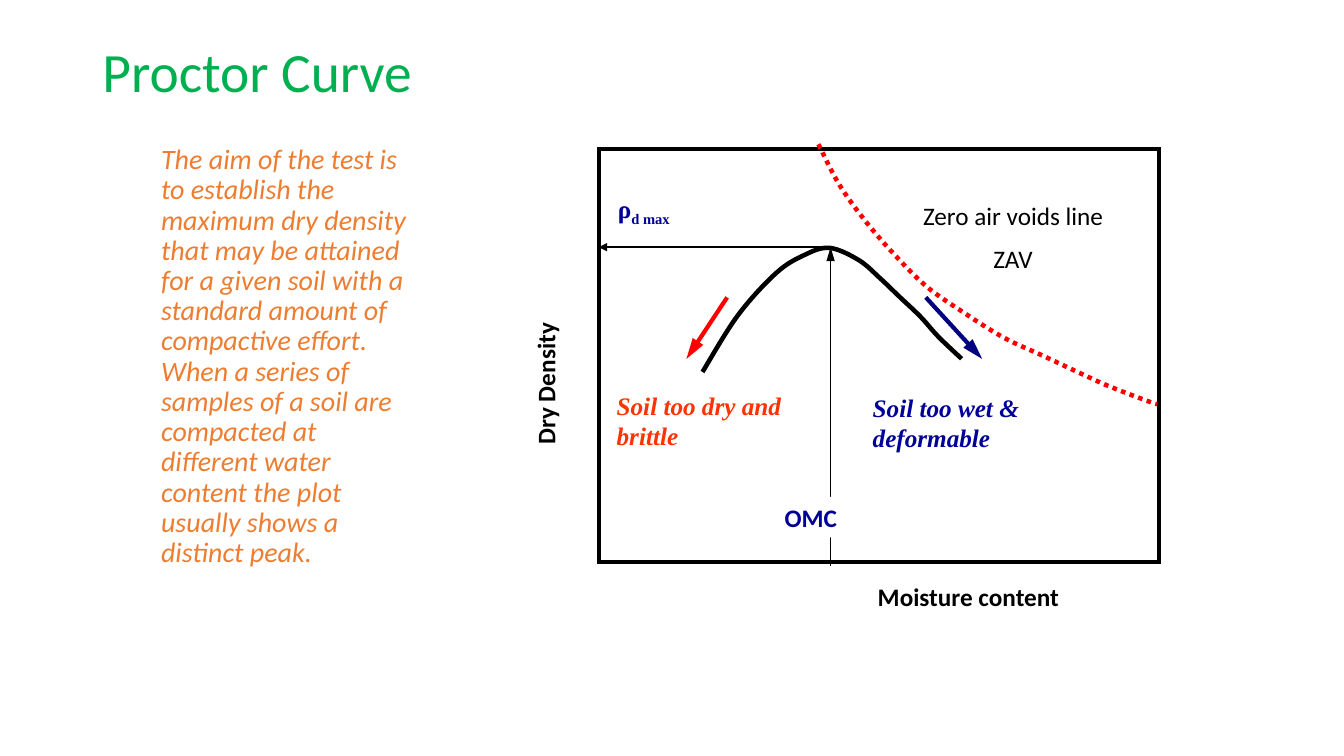
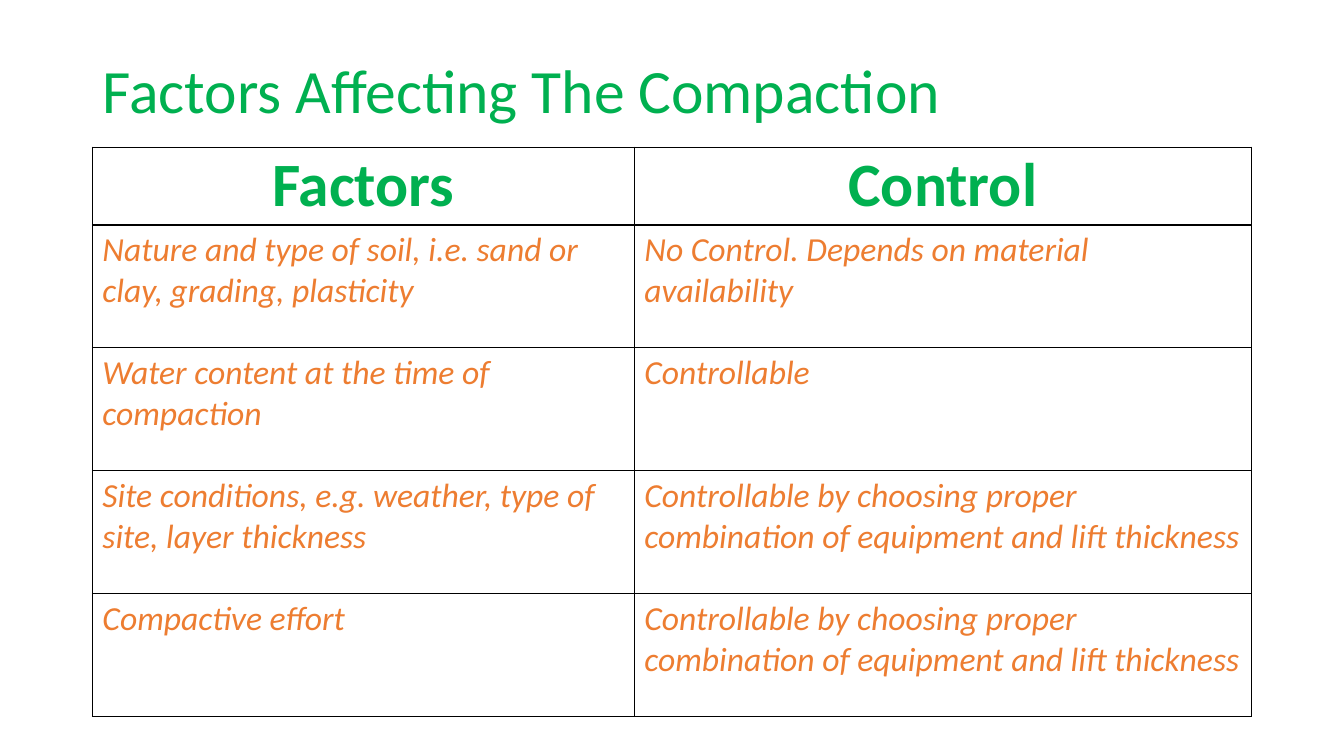
from dataclasses import dataclass
from typing import NamedTuple

import lxml.etree
import pptx
import pptx.dml.color
import pptx.enum.dml
import pptx.enum.shapes
import pptx.enum.text
import pptx.oxml.ns
import pptx.presentation
import pptx.shapes.autoshape
import pptx.slide
import pptx.table
import pptx.text.text
import pptx.util

Pt = pptx.util.Pt
qn = pptx.oxml.ns.qn
Align = pptx.enum.text.PP_ALIGN
Anchor = pptx.enum.text.MSO_ANCHOR
Point = tuple[float, float]


@dataclass(frozen=True)
class Theme:
    green: str = "00B050"
    orange: str = "ED7D31"
    black: str = "000000"
    white: str = "FFFFFF"
    red: str = "FF0000"
    vermilion: str = "FF3300"
    blue: str = "000099"
    navy: str = "000080"
    sans: str = "Calibri"
    serif: str = "Times New Roman"
    title_size: float = 44
    small_title_size: float = 39.6
    cell_size: float = 24
    body_size: float = 20
    label_size: float = 18
    tight: float = 0.9
    label_gap: float = 9


THEME = Theme()


class Box(NamedTuple):
    left: float
    top: float
    width: float
    height: float


@dataclass(frozen=True)
class Style:
    color: str
    size: float = THEME.label_size
    font: str = THEME.sans
    bold: bool = False
    italic: bool = False


@dataclass(frozen=True)
class Run:
    text: str
    style: Style
    baseline: int = 0


@dataclass(frozen=True)
class Label:
    box: Box
    paragraphs: tuple[tuple[Run, ...], ...]
    align: Align = Align.LEFT
    anchor: Anchor = Anchor.TOP
    line_spacing: float = 1
    upward: bool = False
    fill: str | None = None


@dataclass(frozen=True)
class Arrow:
    start: Point
    end: Point
    color: str
    width: float
    head_length: str = "lg"


@dataclass(frozen=True)
class Curve:
    anchors: tuple[Point, ...]
    color: str
    dashed: bool = False


PLAIN = Style(THEME.black)
AXIS = Style(THEME.black, bold=True)
OPTIMUM = Style(THEME.blue, bold=True)
DENSITY = Style(THEME.blue, font=THEME.serif, bold=True)
DRY = Style(THEME.vermilion, font=THEME.serif, bold=True, italic=True)
WET = Style(THEME.blue, font=THEME.serif, bold=True, italic=True)
BODY = Style(THEME.orange, THEME.body_size, italic=True)
CELL = Style(THEME.orange, THEME.cell_size, italic=True)
HEADER = Style(THEME.green, THEME.title_size, bold=True)

PLOT_FRAME = Box(427.7, 106.4, 400.3, 295.2)
CURVE_WIDTH = 3.25

ZERO_AIR_VOIDS = Curve(
    ((584.6, 103), (599, 131), (616.3, 155.5), (637.2, 180), (661.7, 204.5), (688.3, 223.2),
     (717.1, 241.2), (745.2, 254.2), (769.7, 265.7), (792, 275.8), (820.1, 286.6), (826.6, 288.7)),
    THEME.red, dashed=True)
PROCTOR = Curve(
    ((501.8, 265.7), (527, 225.4), (554.4, 195.1), (574.6, 182.2), (592.6, 177.1), (613.4, 185.8),
     (628.6, 198.7), (641.5, 211), (657.4, 226.1), (670.3, 240.5), (686.9, 256.3)),
    THEME.black)

ARROWS = (
    Arrow((593.3, 404.6), (593.3, 176.6), THEME.black, 1),
    Arrow((587.5, 176.6), (427.7, 176.6), THEME.black, 1.5, "med"),
    Arrow((519.4, 212.4), (490.3, 256.4), THEME.red, 3),
    Arrow((661.3, 212.4), (701.6, 256.4), THEME.navy, 3),
)

LABELS = (
    Label(Box(637.9, 139.7, 171.4, 63.4),
          ((Run("Zero air voids line", PLAIN),), (Run("ZAV", PLAIN),)), Align.CENTER),
    Label(Box(375.1, 169.2, 36, 155.5), ((Run("Dry Density", AXIS),),), upward=True),
    Label(Box(619.9, 411.5, 205.9, 28.8), ((Run("Moisture content", AXIS),),)),
    Label(Box(434.2, 134.6, 74.2, 28.8),
          ((Run("ρ", DENSITY), Run("d max", DENSITY, -25000)),)),
    Label(Box(553.4, 355, 74.2, 28.8), ((Run("OMC", OPTIMUM),),), fill=THEME.white),
    Label(Box(433.4, 275, 137.5, 51.1), ((Run("Soil too dry and brittle", DRY),),)),
    Label(Box(616.3, 276.5, 165.6, 51.1), ((Run("Soil too wet & deformable", WET),),),
          fill=THEME.white),
    Label(Box(108, 98.8, 191.5, 312.5),
          ((Run("The aim of the test is to establish the maximum dry density that may be attained "
                "for a given soil with a standard amount of compactive effort. When a series of "
                "samples of a soil are compacted at different water content the plot usually "
                "shows a distinct peak.", BODY),),),
          anchor=Anchor.MIDDLE, line_spacing=THEME.tight),
)

FACTOR_ROWS = (
    ("Factors", "Control"),
    ("Nature and type of soil, i.e. sand or clay, grading, plasticity",
     "No Control. Depends on material availability"),
    ("Water content at the time of compaction", "Controllable"),
    ("Site conditions, e.g. weather, type of site, layer thickness",
     "Controllable by choosing proper combination of equipment and lift thickness"),
    ("Compactive effort",
     "Controllable by choosing proper combination of equipment and lift thickness"),
)
COLUMN_WIDTHS = (387.1, 440.9)
HEADER_HEIGHT = 55.6
ROW_HEIGHT = 87.75


def rgb(color: str) -> pptx.dml.color.RGBColor:
    return pptx.dml.color.RGBColor.from_string(color)


def points(values: tuple[float, ...]) -> list[int]:
    return [Pt(value) for value in values]


def add_run(paragraph: pptx.text.text._Paragraph, content: Run) -> None:
    run = paragraph.add_run()
    run.text = content.text
    style = content.style
    run.font.name = style.font
    run.font.size = Pt(style.size)
    run.font.bold = style.bold
    run.font.italic = style.italic
    run.font.color.rgb = rgb(style.color)
    if content.baseline:
        run._r.get_or_add_rPr().set("baseline", str(content.baseline))


def add_titled_slide(presentation: pptx.presentation.Presentation, text: str, box: Box,
                     size: float) -> pptx.slide.Slide:
    slide = presentation.slides.add_slide(presentation.slide_layouts[5])
    title = slide.shapes.title
    title.left, title.top, title.width, title.height = points(box)
    frame = title.text_frame
    frame.auto_size = pptx.enum.text.MSO_AUTO_SIZE.NONE
    frame.vertical_anchor = Anchor.MIDDLE
    paragraph = frame.paragraphs[0]
    paragraph.alignment = Align.LEFT
    paragraph.line_spacing = THEME.tight
    add_run(paragraph, Run(text, Style(THEME.green, size)))
    return slide


def add_label(slide: pptx.slide.Slide, label: Label) -> None:
    shape = slide.shapes.add_textbox(*points(label.box))
    if label.fill:
        shape.fill.solid()
        shape.fill.fore_color.rgb = rgb(label.fill)
    frame = shape.text_frame
    frame.word_wrap = True
    frame.vertical_anchor = label.anchor
    if label.upward:
        frame._txBody.bodyPr.set("vert", "vert270")
    for index, runs in enumerate(label.paragraphs):
        paragraph = frame.add_paragraph() if index else frame.paragraphs[0]
        paragraph.alignment = label.align
        paragraph.line_spacing = label.line_spacing
        paragraph.space_before = Pt(THEME.label_gap if index else 0)
        for run in runs:
            add_run(paragraph, run)


def outline(shape: pptx.shapes.autoshape.Shape, color: str, width: float) -> None:
    shape.shadow.inherit = False
    shape.fill.background()
    shape.line.color.rgb = rgb(color)
    shape.line.width = Pt(width)


def add_arrow(slide: pptx.slide.Slide, arrow: Arrow) -> None:
    connector = slide.shapes.add_connector(
        pptx.enum.shapes.MSO_CONNECTOR.STRAIGHT, *points(arrow.start + arrow.end))
    connector.line.color.rgb = rgb(arrow.color)
    connector.line.width = Pt(arrow.width)
    properties = connector._element.spPr
    lxml.etree.SubElement(properties.find(qn("a:ln")), qn("a:tailEnd"),
                          type="triangle", w="med", len=arrow.head_length)
    lxml.etree.SubElement(properties, qn("a:effectLst"))


def bend_segments(shape: pptx.shapes.autoshape.Shape, anchors: tuple[Point, ...]) -> None:
    padded = (anchors[0], *anchors, anchors[-1])
    segments = list(shape._element.iter(qn("a:lnTo")))
    for segment, before, start, end, after in zip(
            segments, padded, padded[1:], padded[2:], padded[3:]):
        bend = lxml.etree.Element(qn("a:cubicBezTo"))
        leaving = tuple(b + (c - a) / 6 for a, b, c in zip(before, start, end))
        arriving = tuple(c - (d - b) / 6 for b, c, d in zip(start, end, after))
        for x, y in map(points, (leaving, arriving, end)):
            lxml.etree.SubElement(bend, qn("a:pt"), x=str(x - shape.left), y=str(y - shape.top))
        segment.getparent().replace(segment, bend)


def add_curve(slide: pptx.slide.Slide, curve: Curve) -> None:
    first, *rest = map(points, curve.anchors)
    builder = slide.shapes.build_freeform(*first)
    builder.add_line_segments(rest, close=False)
    shape = builder.convert_to_shape()
    bend_segments(shape, curve.anchors)
    outline(shape, curve.color, CURVE_WIDTH)
    if curve.dashed:
        shape.line.dash_style = pptx.enum.dml.MSO_LINE.ROUND_DOT


def format_cell(cell: pptx.table._Cell, text: str, header: bool) -> None:
    properties = cell._tc.get_or_add_tcPr()
    for side in ("lnL", "lnR", "lnT", "lnB"):
        border = lxml.etree.SubElement(properties, qn(f"a:{side}"), w=str(Pt(1)))
        fill = lxml.etree.SubElement(border, qn("a:solidFill"))
        lxml.etree.SubElement(fill, qn("a:srgbClr"), val=THEME.black)
    if header:
        cell.fill.background()
    else:
        cell.fill.solid()
        cell.fill.fore_color.rgb = rgb(THEME.white)
    paragraph = cell.text_frame.paragraphs[0]
    paragraph.alignment = Align.CENTER if header else Align.LEFT
    paragraph.line_spacing = THEME.tight if header else 1
    add_run(paragraph, Run(text, HEADER if header else CELL))


def add_proctor_slide(presentation: pptx.presentation.Presentation) -> None:
    slide = add_titled_slide(presentation, "Proctor Curve", Box(66, 28.8, 828, 49),
                             THEME.small_title_size)
    frame = slide.shapes.add_shape(
        pptx.enum.shapes.MSO_SHAPE.RECTANGLE, *points(PLOT_FRAME))
    outline(frame, THEME.black, 2.75)
    lxml.etree.SubElement(frame._element.spPr.find(qn("a:ln")), qn("a:miter"), lim="800000")
    for curve in (ZERO_AIR_VOIDS, PROCTOR):
        add_curve(slide, curve)
    for arrow in ARROWS:
        add_arrow(slide, arrow)
    for label in LABELS:
        add_label(slide, label)


def add_factors_slide(presentation: pptx.presentation.Presentation) -> None:
    slide = add_titled_slide(presentation, "Factors Affecting The Compaction",
                             Box(66, 14.4, 828, 104.4), THEME.title_size)
    heights = (HEADER_HEIGHT,) + (ROW_HEIGHT,) * (len(FACTOR_ROWS) - 1)
    box = Box(66, 105.1, sum(COLUMN_WIDTHS), sum(heights))
    table = slide.shapes.add_table(len(heights), len(COLUMN_WIDTHS), *points(box)).table
    table.first_row = table.horz_banding = False
    for column, width in zip(table.columns, COLUMN_WIDTHS):
        column.width = Pt(width)
    for index, (row, height, texts) in enumerate(zip(table.rows, heights, FACTOR_ROWS)):
        row.height = Pt(height)
        for cell, text in zip(row.cells, texts):
            format_cell(cell, text, header=index == 0)


def main() -> None:
    presentation = pptx.Presentation()
    presentation.slide_width, presentation.slide_height = Pt(960), Pt(540)
    add_proctor_slide(presentation)
    add_factors_slide(presentation)
    presentation.save("out.pptx")


if __name__ == "__main__":
    main()
